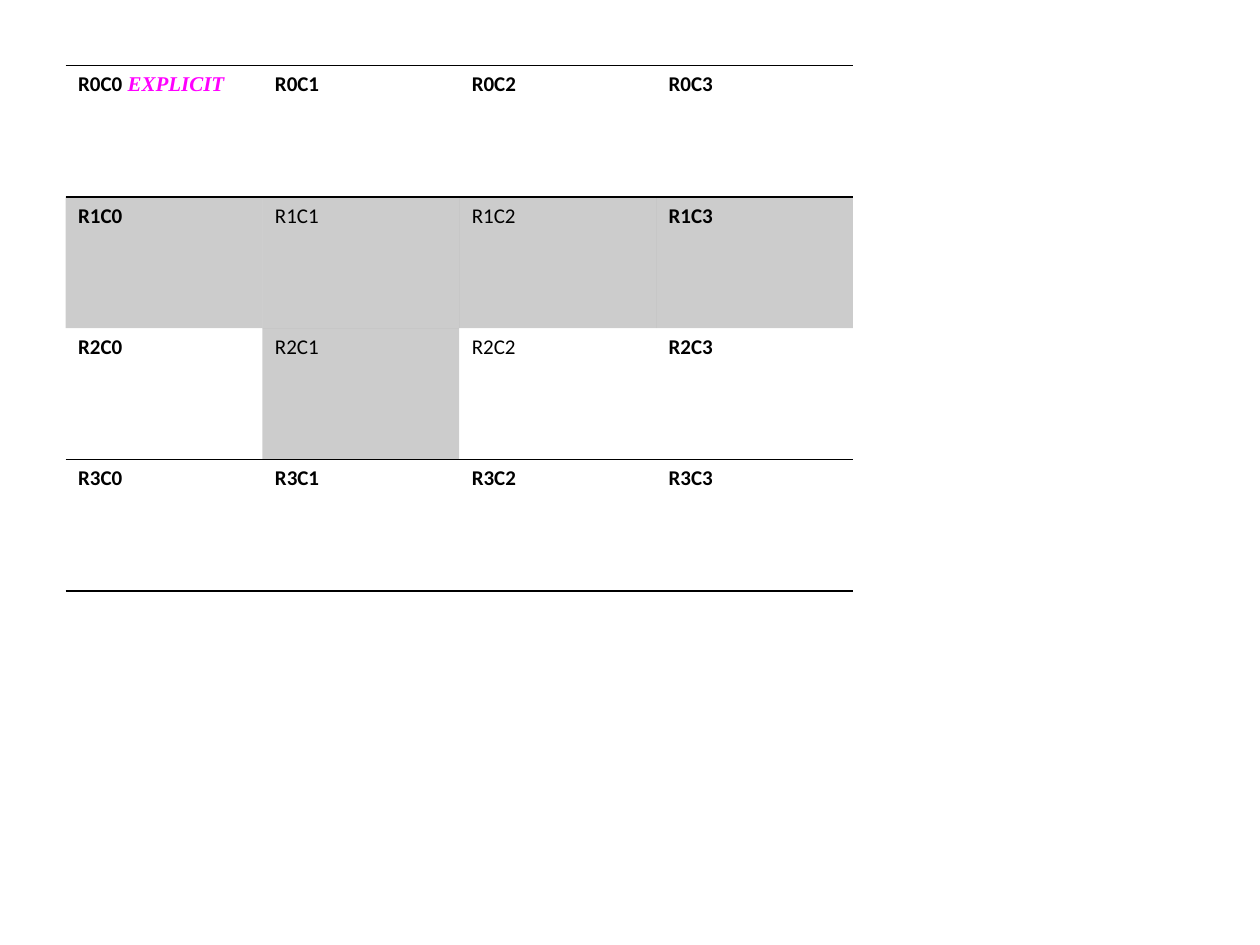
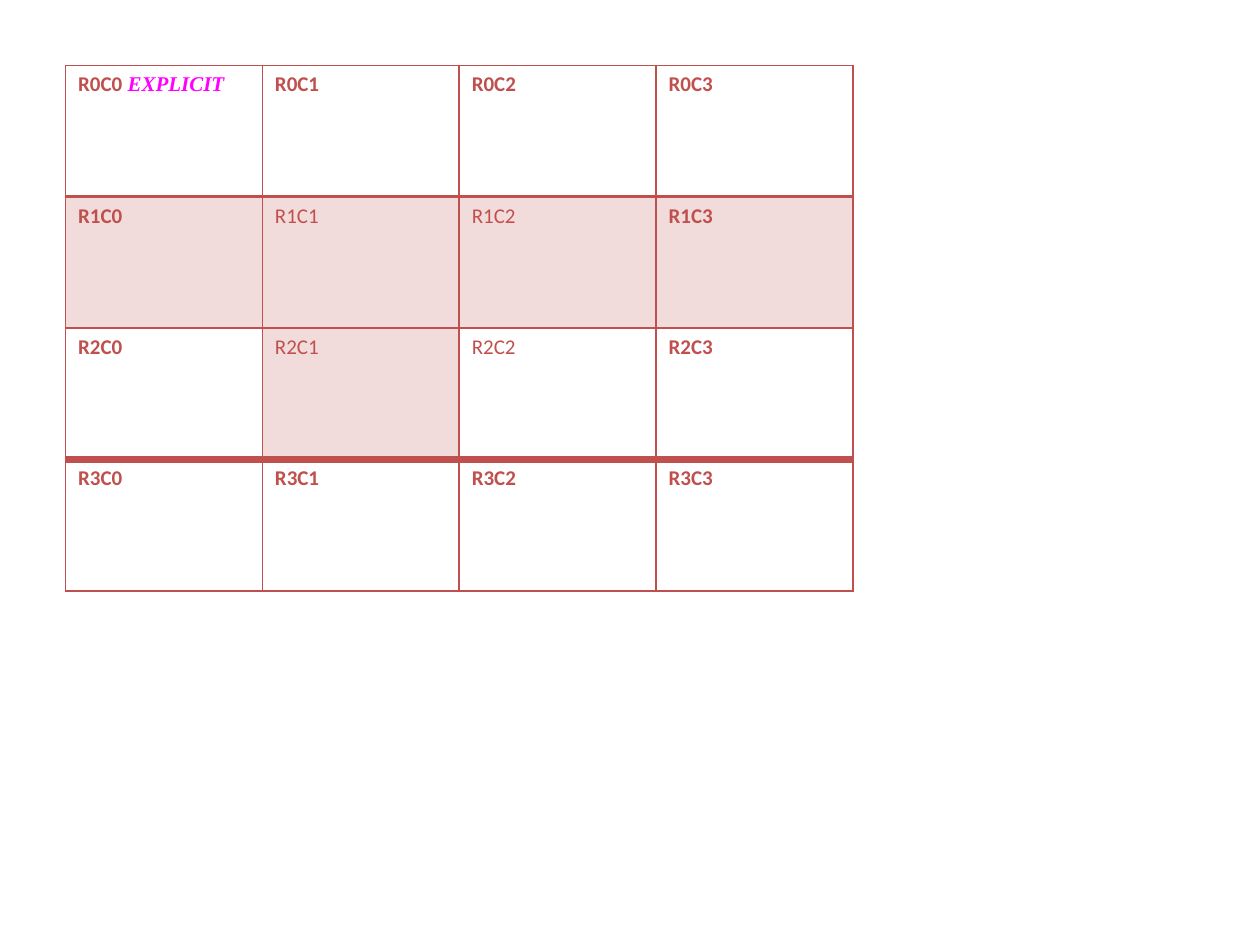
from lxml import etree
from pptx import Presentation
from pptx import util as u
from pptx.dml import color
from pptx.oxml import ns

SIZE = 4
TABLE_BOX = (0.52, 0.52, 6.25, 4.17)
BLACK, RED, MAGENTA = "000000", "C0504D", "FF00FF"
SHADED = {(1, 0), (1, 1), (1, 2), (1, 3), (2, 1)}
TINT = 20


def rgb(value):
    return color.RGBColor.from_string(value)


def add_element(parent, tag, **attributes):
    return etree.SubElement(parent, ns.qn(tag), attributes)


def set_borders(cell, line_color, widths):
    tcPr = cell._tc.get_or_add_tcPr()
    for side, width in zip("LRTB", widths):
        line = add_element(tcPr, f"a:ln{side}", w=str(u.Pt(width)))
        if width:
            fill = add_element(line, "a:solidFill")
            add_element(fill, "a:srgbClr", val=line_color)
        else:
            add_element(line, "a:noFill")


def shade(cell, fill_color):
    cell.fill.solid()
    cell.fill.fore_color.rgb = rgb(fill_color)
    tint = cell._tc.tcPr.find(".//" + ns.qn("a:solidFill") + "[last()]")
    tint = cell._tc.tcPr.find(ns.qn("a:solidFill")).find(ns.qn("a:srgbClr"))
    add_element(tint, "a:alpha", val=str(TINT * 1000))


def add_run(p, wording, font_color, font="Calibri", bold=False, italic=False):
    r = p.add_run()
    r.text = wording
    r.font.name = font
    r.font.size = u.Pt(12)
    r.font.bold = bold
    r.font.italic = italic
    r.font.color.rgb = rgb(font_color)


def add_table_slide(prs, box, theme, row_lines, column_line):
    s = prs.slides.add_slide(prs.slide_layouts[6])
    table = s.shapes.add_table(SIZE, SIZE, *map(u.Inches, box)).table
    table.first_row = table.horz_banding = False
    edges = (0, SIZE - 1)
    for row in range(SIZE):
        for column in range(SIZE):
            cell = table.cell(row, column)
            set_borders(cell, theme, (column_line, column_line, row_lines[row], row_lines[row + 1]))
            if (row, column) in SHADED:
                shade(cell, theme)
            else:
                cell.fill.background()
            p = cell.text_frame.paragraphs[0]
            add_run(p, f"R{row}C{column}", theme, bold=row in edges or column in edges)
            if row == column == 0:
                add_run(p, " EXPLICIT", MAGENTA, "Times New Roman", True, True)


def main():
    prs = Presentation()
    prs.slide_width, prs.slide_height = u.Inches(10), u.Inches(7.5)
    add_table_slide(prs, TABLE_BOX, BLACK, row_lines=(1, 1, 0, 1, 1), column_line=0)
    add_table_slide(prs, TABLE_BOX, RED, row_lines=(1, 2, 1, 4, 1), column_line=1)
    prs.save("out.pptx")


if __name__ == "__main__":
    main()
